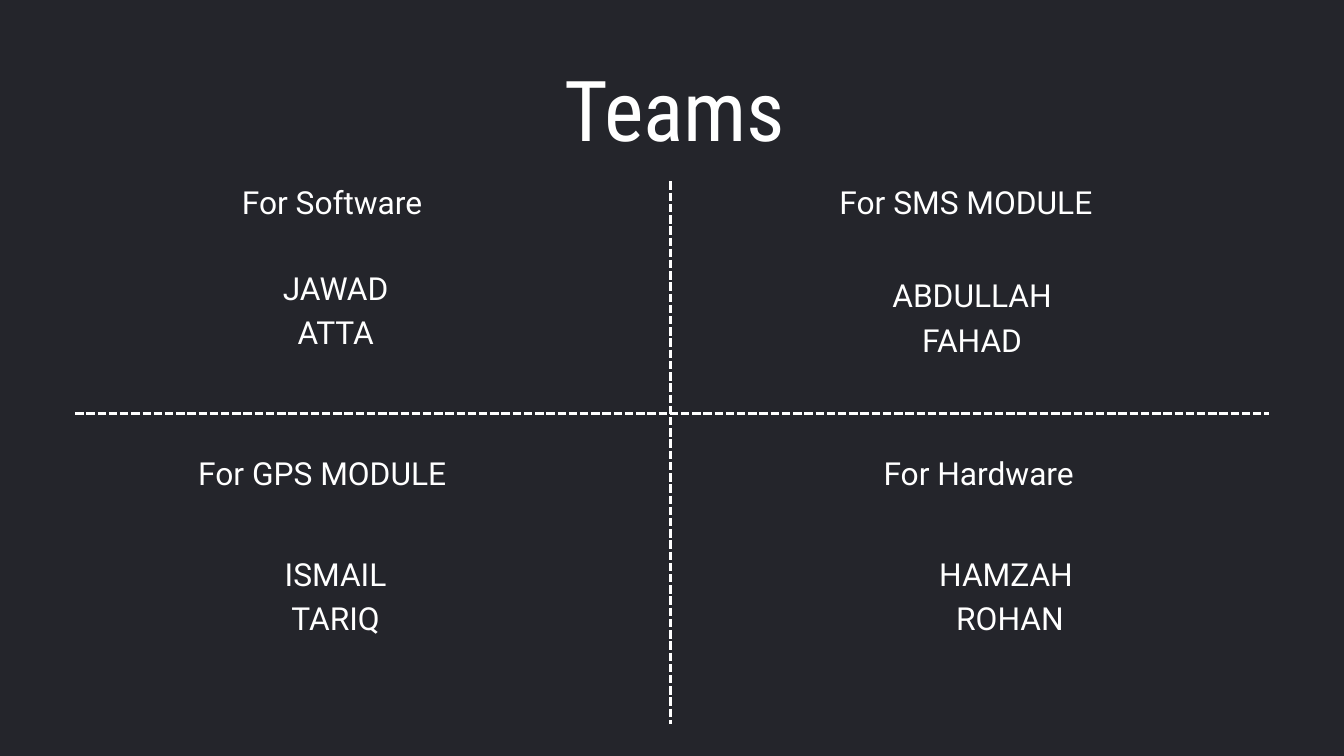
from lxml import etree
from pptx import Presentation
from pptx.dml.color import RGBColor
from pptx.enum import dml, shapes, text
from pptx.oxml import ns
from pptx.util import Pt

BACKGROUND = RGBColor(0x24, 0x25, 0x2B)
WHITE = RGBColor(0xFF, 0xFF, 0xFF)
LINE_HEIGHT = 47.6
COLUMNS = (0, 720)
ROWS = (189.4, 479.5)

# Column, row, then for heading and members: (left, top, width) in the quadrant.
TEAMS = [
    (0, 0, "For Software ", (250.6, 0, 218.9), ["JAWAD", "ATTA"], (115.2, 91.4, 488.9)),
    (1, 0, "For SMS MODULE", (145.4, 0, 339.1), ["ABDULLAH ", "FAHAD "], (229.7, 99.4, 192.2)),
    (0, 1, "For GPS MODULE", (201.6, 0, 287.3), ["ISMAIL", "TARIQ"], (263.5, 108, 192.2)),
    (1, 1, "For Hardware", (217.4, 0, 222.5), ["HAMZAH ", "ROHAN"], (284.4, 108, 155.5)),
]


def write(box, lines, font, size, line_height, align):
    frame = box.text_frame
    frame.margin_left = frame.margin_right = frame.margin_top = frame.margin_bottom = 0
    frame.word_wrap = True
    frame.auto_size = text.MSO_AUTO_SIZE.NONE
    frame.vertical_anchor = text.MSO_ANCHOR.TOP
    frame.text = "\n".join(lines)
    for para in frame.paragraphs:
        para.alignment = align
        para.line_spacing = Pt(line_height)
        para.space_before = Pt(0)
        para.font.name = font
        para.font.size = Pt(size)
        para.font.color.rgb = WHITE


def add_title(page, left, top, width, height):
    title = page.shapes.title
    title.left, title.top, title.width, title.height = map(Pt, (left, top, width, height))
    write(title, ["Teams"], "Roboto Condensed", 90, 126, text.PP_ALIGN.LEFT)


def add_divider(page, x1, y1, x2, y2):
    divider = page.shapes.add_connector(
        shapes.MSO_CONNECTOR.STRAIGHT, Pt(x1), Pt(y1), Pt(x2), Pt(y2))
    divider.line.color.rgb = WHITE
    divider.line.width = Pt(3)
    divider.line.dash_style = dml.MSO_LINE.SQUARE_DOT
    etree.SubElement(divider._element.spPr, ns.qn("a:effectLst"))


def add_team(page, left, top, heading, heading_place, members, members_place):
    """Place a team's heading and members relative to its quadrant's corner."""
    for lines, (dx, dy, width) in (([heading], heading_place), (members, members_place)):
        box = page.shapes.add_textbox(
            Pt(left + dx), Pt(top + dy), Pt(width), Pt(LINE_HEIGHT * len(lines)))
        write(box, lines, "Roboto", 34, LINE_HEIGHT, text.PP_ALIGN.CENTER)


def main():
    deck = Presentation()
    deck.slide_width, deck.slide_height = Pt(1440), Pt(810)
    page = deck.slides.add_slide(deck.slide_layouts.get_by_name("Title Only"))
    page.background.fill.solid()
    page.background.fill.fore_color.rgb = BACKGROUND

    add_title(page, 604.8, 43.2, 835.2, 122.4)
    add_divider(page, 80.6, 442.8, 1359.4, 442.8)
    add_divider(page, 718.6, 194.4, 718.6, 776.2)
    for column, row, *team in TEAMS:
        add_team(page, COLUMNS[column], ROWS[row], *team)
    deck.save("out.pptx")


if __name__ == "__main__":
    main()
